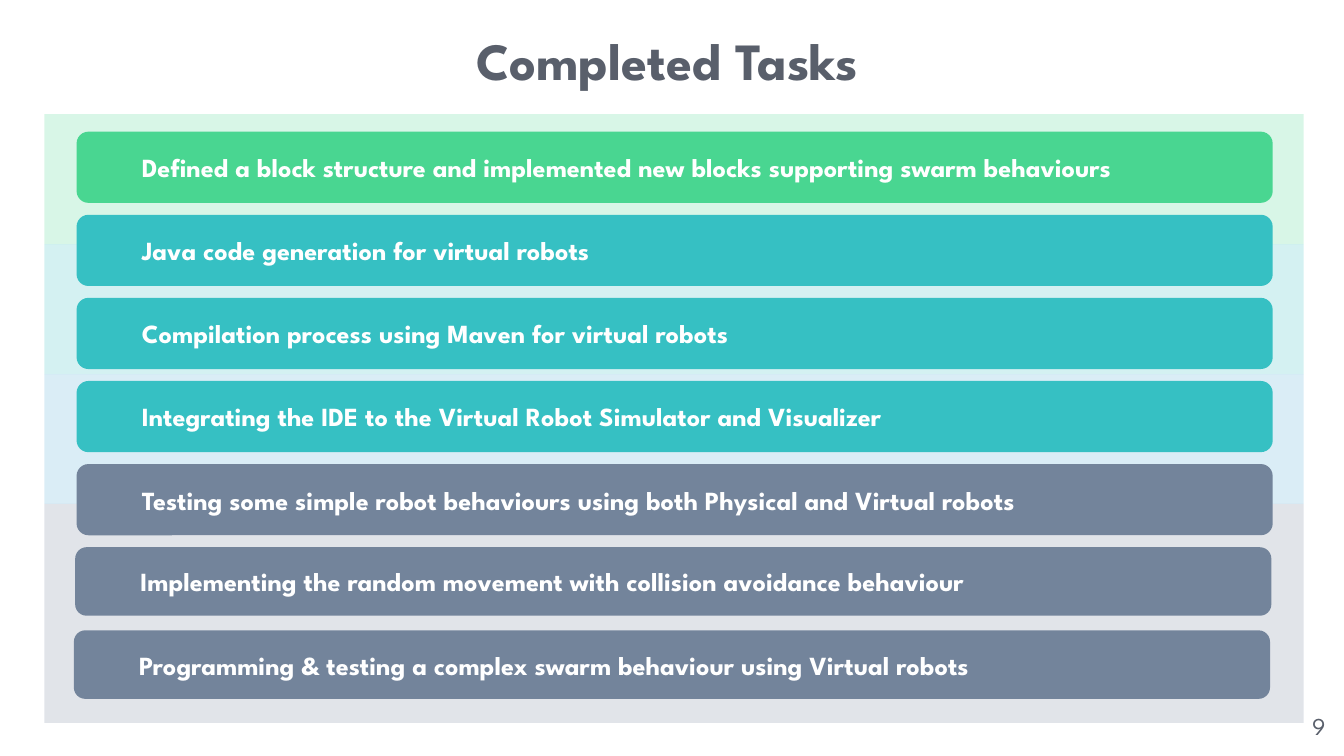
from lxml import etree
from pptx import Presentation
from pptx.dml.color import RGBColor
from pptx.enum.shapes import MSO_SHAPE as Shape
from pptx.enum.text import MSO_ANCHOR as Anchor, PP_ALIGN as Align
from pptx.oxml.ns import qn
from pptx.util import Inches, Pt

FONT = "League Spartan"
GREEN, TEAL, BLUE, SLATE = "49D691", "36C0C3", "52ABD9", "73849B"
WHITE, INK = "FFFFFF", "595F6B"


def add_block(kind, left, top, width, height, color):
    block = page.shapes.add_shape(
        kind, Inches(left), Inches(top), Inches(width), Inches(height))
    block.shadow.inherit = False
    block.fill.solid()
    block.fill.fore_color.rgb = RGBColor.from_string(color)
    block.line.fill.background()
    return block


def write(box, text, size, color, bold, align, anchor, indent=0.1):
    frame = box.text_frame
    frame.word_wrap = True
    frame.vertical_anchor = anchor
    frame.margin_left = Inches(indent)
    frame.margin_right = frame.margin_top = frame.margin_bottom = Inches(0.1)
    para = frame.paragraphs[0]
    para.text = text
    para.alignment = align
    para.font.name = FONT
    para.font.size = Pt(size)
    para.font.bold = bold
    para.font.color.rgb = RGBColor.from_string(color)


# A 16:9 page
deck = Presentation()
deck.slide_width, deck.slide_height = Inches(10), Inches(10 * 9 / 16)
page = deck.slides.add_slide(deck.slide_layouts[5])

# Pale background bands; the last one is taller
BAND_TOP, LAST_BAND_TOP = 0.85, 3.75
band_colors = [GREEN, TEAL, BLUE, SLATE]
band_step = (LAST_BAND_TOP - BAND_TOP) / (len(band_colors) - 1)
for row, color in enumerate(band_colors):
    height = 1.63 if color == SLATE else band_step
    band = add_block(Shape.ROUND_2_SAME_RECTANGLE, 0.33,
                     BAND_TOP + row * band_step, 9.37, height, color)
    band.adjustments[0] = band.adjustments[1] = 0
    tint = band.fill._xPr.find(qn("a:solidFill"))[0]
    etree.SubElement(tint, qn("a:alpha")).set("val", "21000")

# Title
title = page.shapes.title
title.left, title.top = Inches(3.08), Inches(0.24)
title.width, title.height = Inches(3.77), Inches(0.41)
write(title, "Completed Tasks", 28, INK, True, Align.CENTER, Anchor.MIDDLE)

# Task bars, evenly spaced: text, colour, left, height
tasks = [
    ("Defined a block structure and implemented new blocks supporting swarm behaviours",
     GREEN, 0.57, 0.53),
    ("Java code generation for virtual robots", TEAL, 0.57, 0.53),
    ("Compilation process using Maven for virtual robots", TEAL, 0.57, 0.53),
    ("Integrating the IDE to the Virtual Robot Simulator and Visualizer",
     TEAL, 0.57, 0.53),
    ("Testing some simple robot behaviours using both Physical and Virtual robots",
     SLATE, 0.57, 0.53),
    ("Implementing the random movement with collision avoidance behaviour",
     SLATE, 0.56, 0.51),
    ("Programming & testing a complex swarm behaviour using Virtual robots",
     SLATE, 0.55, 0.51),
]
FIRST_TOP, LAST_TOP = 0.98, 4.69
step = (LAST_TOP - FIRST_TOP) / (len(tasks) - 1)
for row, (text, color, left, height) in enumerate(tasks):
    bar = add_block(Shape.ROUNDED_RECTANGLE, left, FIRST_TOP + row * step,
                    8.9, height, color)
    write(bar, text, 14, WHITE, True, Align.LEFT, Anchor.MIDDLE, indent=0.46)

# Page number
number = page.shapes.add_textbox(
    Inches(9.36), Inches(5.19), Inches(0.6), Inches(0.43))
write(number, "9", 13, INK, False, Align.RIGHT, Anchor.TOP)

deck.save("out.pptx")
